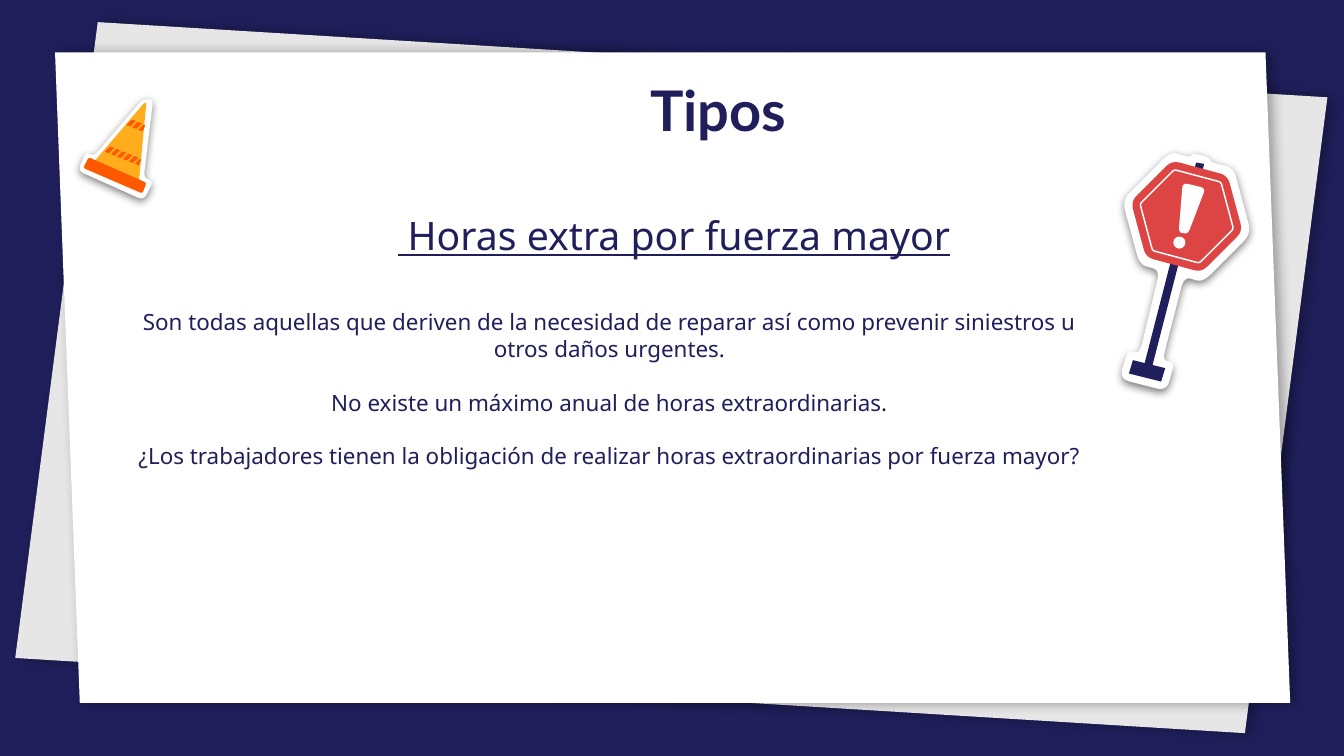
"""Build the slide on overtime due to force majeure."""
from math import cos, dist, radians, sin

from lxml import etree
from pptx import Presentation
from pptx.dml.color import RGBColor
from pptx.enum.shapes import MSO_SHAPE
from pptx.enum.text import PP_ALIGN
from pptx.oxml.ns import qn
from pptx.util import Inches, Pt

PARALLELOGRAM, OVAL = MSO_SHAPE.PARALLELOGRAM, MSO_SHAPE.OVAL
LEFT, CENTER = PP_ALIGN.LEFT, PP_ALIGN.CENTER
COLORS = {"navy": "201F5C", "grey": "E6E6E6", "white": "FFFFFF", "red": "DD4545",
          "amber": "FFAD1D", "orange": "FF5900", "black": "000000"}


def style(shape, fill, shadow=None):
    """Set a plain fill and, if given, a shadow of opacity, blur, distance and angle."""
    shape.fill.solid()
    shape.fill.fore_color.rgb = RGBColor.from_string(COLORS[fill])
    shape.line.fill.background()
    shape.shadow.inherit = False
    if shadow:
        opacity, blur, distance, angle = shadow
        effects = shape._element.spPr.find(qn("a:effectLst"))
        outer = etree.SubElement(effects, qn("a:outerShdw"), blurRad=str(Pt(blur)),
                                 dist=str(Pt(distance)), dir=str(angle * 60000),
                                 algn="bl", rotWithShape="0")
        color = etree.SubElement(outer, qn("a:srgbClr"), val=COLORS["black"])
        etree.SubElement(color, qn("a:alpha"), val=str(opacity * 1000))


def outline(corners, fill, trim=0, shadow=None):
    """Draw a closed polygon whose corners are rounded over the length trim."""
    points = []
    for index, corner in enumerate(corners):
        ends = []
        for other in (corners[index - 1], corners[(index + 1) % len(corners)]):
            share = min(trim / dist(corner, other), 0.35)
            ends.append([c + (o - c) * share for c, o in zip(corner, other)])
        for step in range(7 if trim else 1):
            t = step / 6
            points.append([Inches((1 - t) ** 2 * a + 2 * t * (1 - t) * c + t ** 2 * b)
                           for a, c, b in zip(ends[0], corner, ends[1])])
    builder = page.shapes.build_freeform(*points[0])
    builder.add_line_segments(points[1:], close=True)
    shape = builder.convert_to_shape()
    style(shape, fill, shadow)
    return shape


deck = Presentation()
deck.slide_width, deck.slide_height = Inches(10), Inches(10) * 9 // 16
page = deck.slides.add_slide(deck.slide_layouts[6])
page.background.fill.solid()
page.background.fill.fore_color.rgb = RGBColor.from_string(COLORS["navy"])

sheets = [
    ((0.25, 0.43, 9.49, 4.76), "grey", 0.068, 3.5, False, 7),
    ((0.41, 0.39, 9.19, 4.84), "white", 0.038, 0, True, 10),
]
for place, fill, slant, rotation, flipped, angle in sheets:
    sheet = page.shapes.add_shape(PARALLELOGRAM, *map(Inches, place))
    sheet.adjustments[0] = slant
    sheet.rotation = rotation
    if flipped:
        sheet._element.spPr.xfrm.set("flipH", "1")
    style(sheet, fill, (32, 6.8, 3, angle))

texts = [
    ((1.13, 0.46, 8.43, 0.63), ["Tipos"], CENTER,
     {"name": "Lato", "size": Pt(30), "bold": True}),
    ((0.93, 2.19, 7.21, 2.22), [
        "Son todas aquellas que deriven de la necesidad de reparar así como prevenir "
        "siniestros u otros daños urgentes.",
        "No existe un máximo anual de horas extraordinarias.",
        "¿Los trabajadores tienen la obligación de realizar horas extraordinarias "
        "por fuerza mayor?",
    ], CENTER, {"name": "Noto Sans", "size": Pt(12)}),
    ((2.86, 1.47, 5.13, 0.78), [" Horas extra por fuerza mayor"], LEFT,
     {"name": "Noto Sans", "size": Pt(21), "underline": True}),
]
for place, lines, alignment, font in texts:
    box = page.shapes.add_textbox(*map(Inches, place))
    frame = box.text_frame
    frame.word_wrap = True
    for side in ("left", "top", "right", "bottom"):
        setattr(frame, f"margin_{side}", Inches(0.1))
    for index, line in enumerate(lines):
        para = frame.add_paragraph() if index else frame.paragraphs[0]
        para.alignment = alignment
        if index < len(lines) - 1:
            para.space_after = Pt(14.5)
        span = para.add_run()
        span.text = line
        span.font.color.rgb = RGBColor.from_string(COLORS["navy"])
        for name, value in font.items():
            setattr(span.font, name, value)

sticker_shadow = (50, 4.5, 1.5, 90)
sign_edge = [(8.71, 1.13), (8.35, 1.49), (8.48, 1.97), (8.63, 2.01), (8.48, 2.63),
             (8.39, 2.61), (8.33, 2.82), (8.68, 2.91), (8.74, 2.7), (8.65, 2.68),
             (8.81, 2.06), (8.95, 2.1), (9.31, 1.74), (9.18, 1.25), (9.02, 1.21),
             (8.99, 1.17), (8.88, 1.14), (8.85, 1.17)]
outline(sign_edge, "white", 0.08, sticker_shadow)
outline([(8.9, 1.21), (8.51, 2.73), (8.57, 2.74), (8.96, 1.22)], "navy")
outline([(8.43, 2.68), (8.4, 2.78), (8.64, 2.84), (8.67, 2.74)], "navy")

plate, rim = [
    outline([(8.83 + radius * cos(radians(angle)), 1.61 + radius * sin(radians(angle)))
             for angle in range(15, 375, 60)], "red", trim)
    for radius, trim in ((0.43, 0.06), (0.36, 0.02))
]
rim.fill.background()
rim.line.color.rgb = RGBColor.from_string(COLORS["white"])
rim.line.width = Pt(0.79)

outline([(8.8, 1.36), (8.77, 1.73), (8.84, 1.74), (8.97, 1.4)], "white", 0.04)
dot = page.shapes.add_shape(OVAL, *map(Inches, (8.73, 1.76, 0.09, 0.09)))
style(dot, "white")

cone_edge = [(1.06, 0.74), (0.7, 1.16), (0.64, 1.13), (0.58, 1.27),
             (1.07, 1.49), (1.14, 1.35), (1.07, 1.32), (1.14, 0.74)]
outline(cone_edge, "white", 0.05, sticker_shadow)
outline([(1.07, 0.77), (0.67, 1.24), (1.03, 1.4), (1.09, 0.76)], "amber", 0.03)
outline([(0.66, 1.17), (0.62, 1.25), (1.06, 1.44), (1.09, 1.36)], "orange", 0.02)

stripe = [(0, 0), (-0.04, 0.04), (-0.01, 0.05), (0.03, 0.01)]
for left, top, count, limit in ((0.82, 1.09, 6, 1.05), (0.98, 0.89, 3, 1.08)):
    for index in range(count):
        x, y = left + 0.045 * index, top + 0.018 * index
        outline([(min(x + dx, limit), y + dy) for dx, dy in stripe], "orange")

deck.save("out.pptx")
